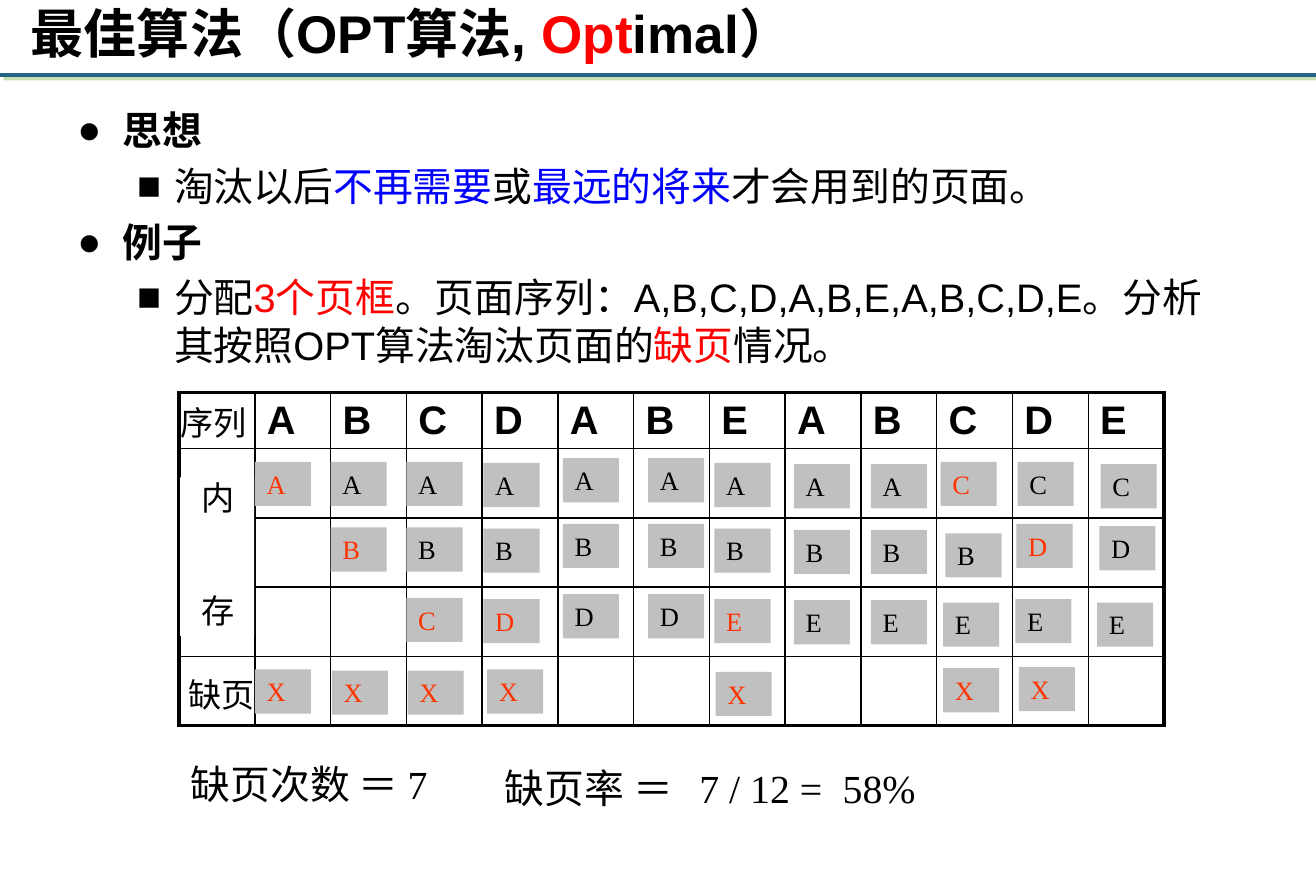
from lxml import etree
from pptx import Presentation
from pptx.dml.color import RGBColor
from pptx.enum import shapes, text
from pptx.oxml import ns
from pptx.util import Cm, Inches, Pt

COLORS = {
    "black": "000000", "white": "FFFFFF", "red": "FF0000", "blue": "0000FF",
    "fault": "FF3300", "tile": "C0C0C0", "rule": "236485", "glow": "90C060",
}
SANS, SERIF = "Arial", "Times New Roman"

SEQUENCE = "ABCDABEABCDE"
FRAMES = ["A", "AB", "ABC", "ABD", "ABD", "ABD",
          "ABE", "ABE", "ABE", "CBE", "CDE", "CDE"]
COLUMN_WIDTH, HEADER_HEIGHT, ROW_HEIGHT = 0.635, 0.47, 0.58
TILE_SIZE = (0.47, 0.37)
TILE_ROWS = [0.58, 1.13, 1.72, 2.32]
# Offsets of the hand-placed tiles from the grid: one per column, or one per frame
TILE_NUDGES = [
    [(0, 0)], [(0, 0)], [(0, 0)], [(0.01, 0.01)], [(0.04, -0.03)], [(0.12, -0.03)],
    [(0.04, 0.01)], [(0.07, 0.02)], [(0.08, 0.02)],
    [(0.03, 0), (0.07, 0.05), (0.05, 0.04)],
    [(0.04, 0), (0.03, -0.03), (0.02, 0.01)],
    [(0.1, 0.02), (0.09, -0.01), (0.07, 0.04)],
]
FAULT_NUDGES = {0: (0, 0), 1: (0.01, 0.01), 2: (0.01, 0.01), 3: (0.04, 0),
                6: (0.05, 0.02), 9: (0.05, -0.01), 10: (0.05, -0.02)}


def rgb(name):
    return RGBColor.from_string(COLORS[name])


def add_element(parent, tag, **attributes):
    return etree.SubElement(parent, ns.qn(tag), attributes)


def write(paragraph, content, color="black", size=24, font=SANS, bold=False):
    run = paragraph.add_run()
    run.text = content
    run.font.name, run.font.size, run.font.bold = font, Pt(size), bold
    run.font.color.rgb = rgb(color)


def add_box(slide, box, fill=None, inset=True):
    """Add a text box, or a plain rectangle if a fill is given; return the shape."""
    lengths = [Inches(length) for length in box]
    if fill:
        shape = slide.shapes.add_shape(shapes.MSO_SHAPE.RECTANGLE, *lengths)
        shape.shadow.inherit = False
        shape.fill.solid()
        shape.fill.fore_color.rgb = rgb(fill)
        shape.line.fill.background()
    else:
        shape = slide.shapes.add_textbox(*lengths)
    frame = shape.text_frame
    frame.word_wrap = True
    frame.vertical_anchor = text.MSO_ANCHOR.TOP
    frame.paragraphs[0].alignment = text.PP_ALIGN.LEFT
    if not inset:
        frame.margin_left = frame.margin_right = 0
        frame.margin_top = frame.margin_bottom = 0
    return shape


def add_label(slide, box, content, inset=True, fill=None, tabs=(), **style):
    paragraph = add_box(slide, box, fill, inset).text_frame.paragraphs[0]
    if tabs:
        stops = add_element(paragraph._p.get_or_add_pPr(), "a:tabLst")
        for position in tabs:
            add_element(stops, "a:tab", pos=str(Inches(position)), algn="l")
    write(paragraph, content, font=SERIF, **style)


def add_header(slide, box):
    rule_y = Inches(0.63)
    rule = slide.shapes.add_connector(
        shapes.MSO_CONNECTOR.STRAIGHT, 0, rule_y, Inches(11.02), rule_y)
    rule.line.color.rgb = rgb("rule")
    rule.line.width = Pt(2.25)
    effects = add_element(rule._element.spPr, "a:effectLst")
    shadow = add_element(effects, "a:outerShdw", dist=str(Pt(2.8)), dir="2700000",
                         algn="ctr", rotWithShape="0")
    glow = add_element(shadow, "a:srgbClr", val=COLORS["glow"])
    add_element(glow, "a:alpha", val="50000")

    frame = add_box(slide, box).text_frame
    frame.vertical_anchor = text.MSO_ANCHOR.MIDDLE
    for content, color in [("最佳算法（OPT算法, ", "black"), ("Opt", "red"),
                           ("imal）", "black")]:
        write(frame.paragraphs[0], content, color, size=32, bold=True)


def add_outline(slide, box):
    frame = add_box(slide, box).text_frame
    items = [
        (0, [("思想", "black")]),
        (1, [("淘汰以后", "black"), ("不再需要", "blue"), ("或", "black"),
             ("最远的将来", "blue"), ("才会用到的页面。", "black")]),
        (0, [("例子", "black")]),
        (1, [("分配", "black"), ("3个页框", "red"),
             ("。页面序列：A,B,C,D,A,B,E,A,B,C,D,E。分析其按照OPT算法淘汰页面的", "black"),
             ("缺页", "red"), ("情况。", "black")]),
    ]
    for index, (level, runs) in enumerate(items):
        paragraph = frame.add_paragraph() if index else frame.paragraphs[0]
        margin, hanging, bullet = [(0.38, 0.38, "●"), (0.81, 0.31, "■")][level]
        paragraph.level = level
        if index:
            paragraph.space_before = Pt(4.8)
        properties = paragraph._p.get_or_add_pPr()
        properties.set("marL", str(Inches(margin)))
        properties.set("indent", str(-Inches(hanging)))
        add_element(properties, "a:buFont", typeface=SANS)
        add_element(properties, "a:buChar", char=bullet)
        for content, color in runs:
            write(paragraph, content, color, bold=level == 0)


def set_borders(cell, heavy_sides):
    properties = cell._tc.get_or_add_tcPr()
    for side in "LRTB":
        width = Pt(2.25 if side in heavy_sides else 1)
        line = add_element(properties, f"a:ln{side}", w=str(width))
        fill = add_element(line, "a:solidFill")
        add_element(fill, "a:srgbClr", val=COLORS["black"])


def add_grid(slide, box):
    row_count, column_count = 5, len(SEQUENCE) + 1
    table = slide.shapes.add_table(
        row_count, column_count, *[Inches(length) for length in box]).table
    table.first_row = table.horz_banding = False
    for column in table.columns:
        column.width = Inches(COLUMN_WIDTH)
    for r, row in enumerate(table.rows):
        row.height = Inches(ROW_HEIGHT if r else HEADER_HEIGHT)
        for c, cell in enumerate(row.cells):
            edges = {"L": c == 0, "R": c == column_count - 1,
                     "T": r == 0, "B": r == row_count - 1}
            set_borders(cell, [side for side, heavy in edges.items() if heavy])
            cell.fill.background()
            cell.margin_bottom = Inches(0.02)
            if r == 0 and c > 0:
                write(cell.text_frame.paragraphs[0], SEQUENCE[c - 1], bold=True)


def add_tile(slide, origin, column, row, nudge, page, color):
    left = origin[0] + COLUMN_WIDTH * (column + 1) + nudge[0]
    top = origin[1] + TILE_ROWS[row] + nudge[1]
    add_label(slide, (left, top, *TILE_SIZE), page, fill="tile", color=color, size=16)


def add_tiles(slide, origin):
    """Show the pages in memory, newly loaded ones in the fault colour, and the faults."""
    for column, pages in enumerate(FRAMES):
        earlier = FRAMES[column - 1] if column else ""
        nudges = TILE_NUDGES[column]
        for row, page in enumerate(pages):
            color = "black" if page in earlier else "fault"
            add_tile(slide, origin, column, row, nudges[row % len(nudges)], page, color)
    for column, nudge in FAULT_NUDGES.items():
        add_tile(slide, origin, column, 3, nudge, "X", "fault")


def add_row_labels(slide, origin):
    left, top = origin
    add_label(slide, (left + 0.08, top + 2.36, 0.63, 0.33), "缺页", inset=False, size=20)
    add_label(slide, (left + 0.01, top + 0.08, 0.63, 0.33), "序列", inset=False, size=20)
    memory = add_box(slide, (left + 0.01, top + 0.71, 0.62, 1.33), "white", inset=False)
    memory.text_frame.margin_left = Inches(0.18)
    write(memory.text_frame.paragraphs[0], "内", size=20, font=SERIF)
    second = memory.text_frame.add_paragraph()
    second.alignment = text.PP_ALIGN.LEFT
    second.space_before = Pt(44)
    write(second, "存", size=20, font=SERIF)


def add_paging_table(slide, box):
    origin = box[:2]
    add_grid(slide, box)
    add_tiles(slide, origin)
    add_row_labels(slide, origin)


def add_results(slide, box):
    left, top, width, height = box
    add_label(slide, (left, top, 3.02, height), "缺页次数 ＝ 7")
    add_label(slide, (left + 2.63, top + 0.03, width - 2.63, height),
              "缺页率 ＝\t7 / 12 =\t58%", tabs=(1.63, 2.83))


def main():
    presentation = Presentation()
    presentation.slide_width = Cm(28)
    presentation.slide_height = Inches(7.5)
    slide = presentation.slides.add_slide(presentation.slide_layouts[6])
    add_header(slide, (0.16, -0.04, 9.21, 0.63))
    add_outline(slide, (0.55, 0.84, 9.92, 5.86))
    add_paging_table(slide, (1.5, 3.29, 8.27, 2.79))
    add_results(slide, (1.5, 6.32, 6.85, 0.5))
    presentation.save("out.pptx")


if __name__ == "__main__":
    main()
